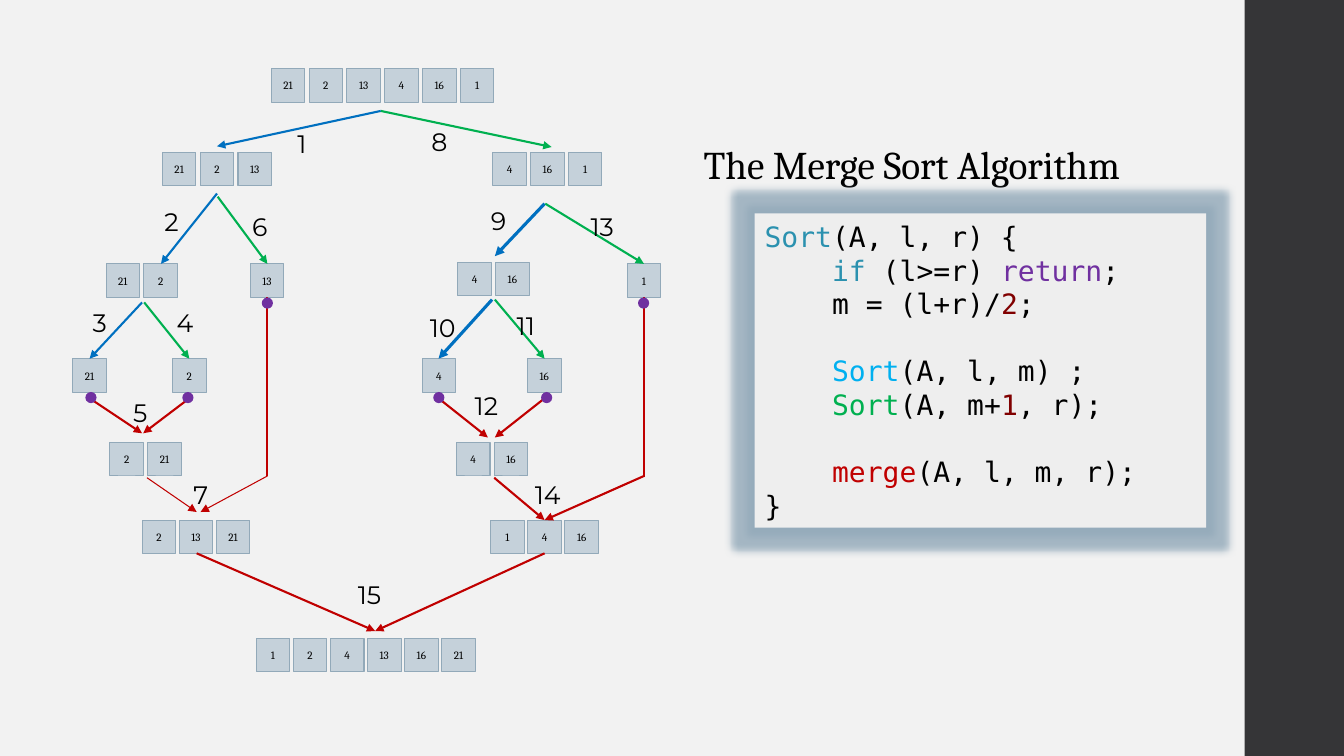
import pptx
import pptx.util
import pptx.dml.color
import pptx.enum.shapes
import pptx.enum.text
import pptx.oxml

Pt = pptx.util.Pt
SHAPE = pptx.enum.shapes.MSO_SHAPE
ANCHOR = pptx.enum.text.MSO_ANCHOR
ALIGN = pptx.enum.text.PP_ALIGN
NS = 'xmlns:a="http://schemas.openxmlformats.org/drawingml/2006/main"'

COLORS = {
    "background": "F2F2F2", "band": "353537", "cell": "C5D1DA",
    "border": "92A9B9", "panel": "EEEEEE", "glow": "92A9B9", "text": "000000",
    "left": "0070C0", "right": "00B050", "merge": "C00000", "dot": "7030A0",
    "keyword": "2B91AF", "number": "800000", "call": "00B0F0",
}

CELL = 24
SPLIT, SORTED = 27, 26.5  # cell pitch before and after merging

# Left, top, pitch, values
ARRAYS = [
    (193.75, 49, SPLIT, [21, 2, 13, 4, 16, 1]),
    (116, 108.75, SPLIT, [21, 2, 13]),
    (352, 108.75, SPLIT, [4, 16, 1]),
    (75.75, 188.5, SPLIT, [21, 2]),
    (178.75, 188.5, SPLIT, [13]),
    (327, 187.25, SPLIT, [4, 16]),
    (448, 188.5, SPLIT, [1]),
    (52, 256.25, SPLIT, [21]),
    (123.25, 256.25, SPLIT, [2]),
    (301.5, 256.25, SPLIT, [4]),
    (376.75, 256.25, SPLIT, [16]),
    (78.5, 316, SPLIT, [2, 21]),
    (326, 316, SPLIT, [4, 16]),
    (101.5, 371.5, SORTED, [2, 13, 21]),
    (350.5, 371.5, SORTED, [1, 4, 16]),
    (183, 455.75, SORTED, [1, 2, 4, 13, 16, 21]),
]

# Start x, y, end x, y, colour, width
ARROWS = [
    (272, 79.25, 155, 104.5, "left", 1.5),
    (272, 79.25, 394, 105, "right", 1.5),
    (155, 138.25, 115, 188.5, "left", 1.5),
    (155.5, 140.5, 191, 188.5, "right", 1.5),
    (101.5, 216, 64, 256.25, "left", 1.5),
    (103, 216, 135.25, 256.25, "right", 1.5),
    (389, 145.5, 353.5, 183, "left", 2.25),
    (389.5, 145.5, 460, 188.5, "right", 1.5),
    (351.5, 214, 313.25, 256.25, "left", 2.25),
    (353.5, 214, 389, 256.25, "right", 1.5),
    (64, 284.5, 101.5, 309.5, "merge", 1.5),
    (135.25, 284.5, 102.25, 309.5, "merge", 1.5),
    (105, 341.25, 140.5, 365.75, "merge", 0.75),
    (191, 340, 143.25, 365.75, "merge", 0.75),
    (313.25, 284.5, 348.5, 312.5, "merge", 1.5),
    (389, 284.5, 353.5, 312.5, "merge", 1.5),
    (353, 341.25, 389, 371.5, "merge", 1.5),
    (460, 340, 389, 371.5, "merge", 1.5),
    (140.5, 395.25, 268, 450.75, "merge", 1.5),
    (389, 395.25, 268, 450.75, "merge", 1.5),
]
STEMS = [(191, 212.5, 340), (460, 212.5, 341)]
DOT = 8
DOTS = [(65, 284), (134.25, 284), (191, 216.5),
        (313.5, 284), (390.5, 284), (459.75, 216.5)]

# Left and top of the step labels, in order from 1
STEPS = [(205.25, 88), (110.25, 144), (59, 216), (119, 216), (88, 280),
         (173, 147.5), (131, 338.5), (301, 86.5), (343.5, 143.25), (300, 219.5),
         (362, 218), (332, 275), (414.75, 147.5), (375, 338.5), (248.5, 410.5)]

# Code lines as (text, colour) pieces; an empty list is a blank line
CODE = [
    [("Sort", "keyword"), ("(A, l, r) {", "text")],
    [("    ", "text"), ("if", "keyword"), (" (l>=r) ", "text"),
     ("return", "dot"), (";", "text")],
    [("    m = (l+r)/", "text"), ("2", "number"), (";", "text")],
    [],
    [("    ", "text"), ("Sort", "call"), ("(A, l, m) ;", "text")],
    [("    Sort", "right"), ("(A, m+", "text"), ("1", "number"), (", r);", "text")],
    [],
    [("    ", "text"), ("merge", "merge"), ("(A, l, m, r);", "text")],
    [("}", "text")],
]
CODE_LINE = 24


def rgb(name):
    return pptx.dml.color.RGBColor.from_string(COLORS[name])


def add_run(p, text, font="Cambria", size=8, color="text"):
    r = p.add_run()
    r.text = text
    r.font.name = font
    r.font.size = Pt(size)
    r.font.color.rgb = rgb(color)


def add_shape(s, kind, x, y, w, h, fill, line=None):
    sp = s.shapes.add_shape(kind, Pt(x), Pt(y), Pt(w), Pt(h))
    sp.shadow.inherit = False
    sp.fill.solid()
    sp.fill.fore_color.rgb = rgb(fill)
    if line:
        sp.line.color.rgb = rgb(line)
        sp.line.width = Pt(0.75)
    else:
        sp.line.fill.background()
    return sp


def add_label(s, text, x, y, w, h, **fmt):
    tf = s.shapes.add_textbox(Pt(x), Pt(y), Pt(w), Pt(h)).text_frame
    tf.word_wrap = False
    add_run(tf.paragraphs[0], text, **fmt)


def add_line(s, x1, y1, x2, y2, color, width, arrow=True):
    c = s.shapes.add_connector(pptx.enum.shapes.MSO_CONNECTOR.STRAIGHT,
                               Pt(x1), Pt(y1), Pt(x2), Pt(y2))
    c.line.color.rgb = rgb(color)
    c.line.width = Pt(width)
    if arrow:
        c.line._get_or_add_ln().append(
            pptx.oxml.parse_xml(f'<a:tailEnd {NS} type="triangle"/>'))
    c._element.spPr.append(pptx.oxml.parse_xml(f"<a:effectLst {NS}/>"))


def add_array(s, x, y, pitch, values):
    for i, value in enumerate(values):
        sp = add_shape(s, SHAPE.RECTANGLE, x + i * pitch, y, CELL, CELL, "cell", "border")
        tf = sp.text_frame
        tf.margin_left = tf.margin_right = 0
        tf.vertical_anchor = ANCHOR.MIDDLE
        tf.paragraphs[0].alignment = ALIGN.CENTER
        add_run(tf.paragraphs[0], str(value))


def draw_tree(s, left, top):
    for x, y, pitch, values in ARRAYS:
        add_array(s, left + x, top + y, pitch, values)
    for x1, y1, x2, y2, color, width in ARROWS:
        add_line(s, left + x1, top + y1, left + x2, top + y2, color, width)
    for x, y1, y2 in STEMS:
        add_line(s, left + x, top + y1, left + x, top + y2, "merge", 1.5, arrow=False)
    for step, (x, y) in enumerate(STEPS, 1):
        add_label(s, str(step), left + x, top + y, 27 if step < 10 else 47, 29,
                  font="Montserrat", size=18)
    for x, y in DOTS:
        add_shape(s, SHAPE.OVAL, left + x - DOT / 2, top + y - DOT / 2, DOT, DOT, "dot")


def draw_code(s, left, top, width, height):
    sp = add_shape(s, SHAPE.RECTANGLE, left, top, width, height, "panel")
    # Soft glow round the panel
    sp._element.spPr.find(pptx.oxml.ns.qn("a:effectLst")).append(pptx.oxml.parse_xml(
        f'<a:glow {NS} rad="{Pt(11)}"><a:srgbClr val="{COLORS["glow"]}">'
        '<a:alpha val="80000"/></a:srgbClr></a:glow>'))
    tf = sp.text_frame
    tf.word_wrap = True
    tf.vertical_anchor = ANCHOR.MIDDLE
    p, gap = tf.paragraphs[0], 0
    for i, pieces in enumerate(CODE):
        if not pieces:
            gap = CODE_LINE
            continue
        if i:
            p = tf.add_paragraph()
        p.alignment = ALIGN.LEFT
        p.line_spacing = Pt(CODE_LINE)
        p.space_before = Pt(gap)
        gap = 0
        for text, color in pieces:
            add_run(p, text, font="DejaVu Sans Mono", size=20, color=color)


def main():
    prs = pptx.Presentation()
    prs.slide_width, prs.slide_height = Pt(960), Pt(540)
    s = prs.slides.add_slide(prs.slide_layouts[6])
    s.background.fill.solid()
    s.background.fill.fore_color.rgb = rgb("background")

    # Side band
    add_shape(s, SHAPE.RECTANGLE, 889, 0, 71, 540, "band")
    # Recursion tree
    draw_tree(s, 0, 0)
    # Title and code
    add_label(s, "The Merge Sort Algorithm", 495.5, 96.5, 360, 41, size=28)
    draw_code(s, 539, 152.5, 322.5, 224.5)

    prs.save("out.pptx")


if __name__ == "__main__":
    main()
